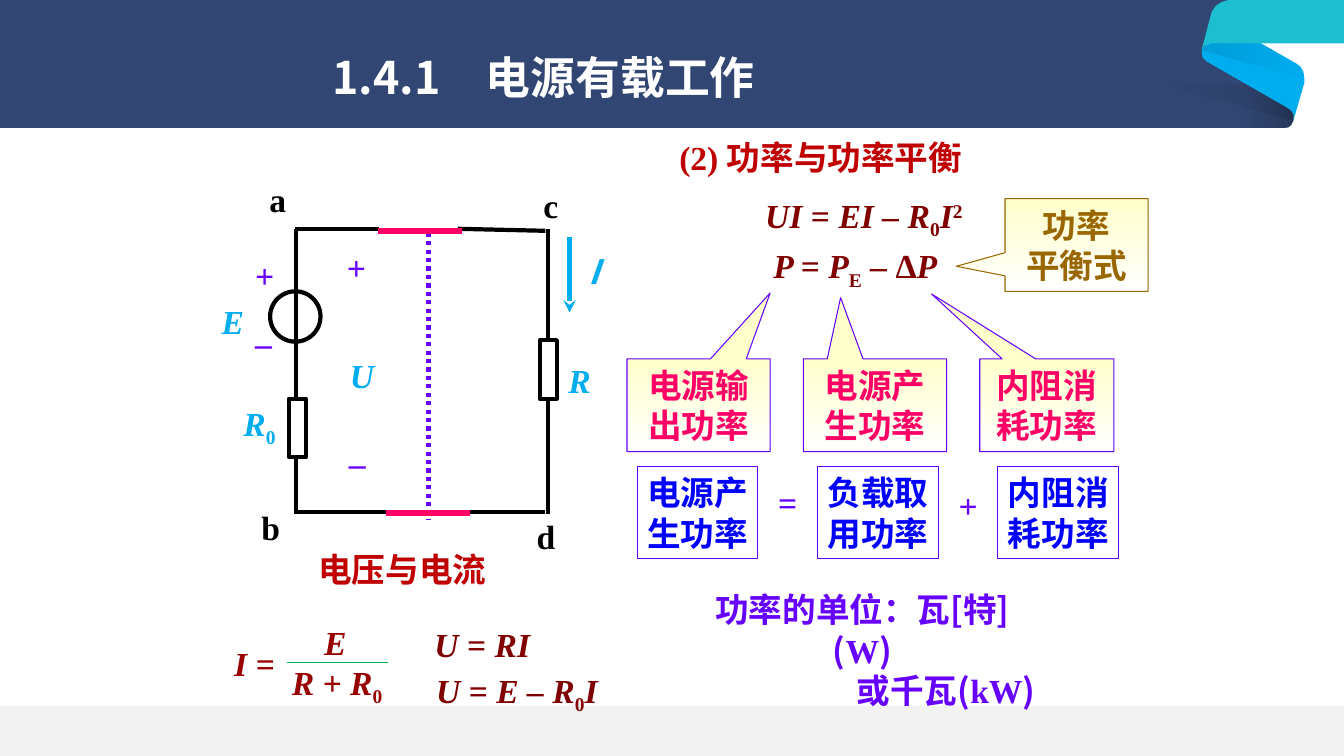
import pptx
import pptx.dml.color
import pptx.enum.dml
import pptx.enum.shapes
import pptx.enum.text
import pptx.oxml
import pptx.oxml.ns
import pptx.util

CELL = pptx.util.Inches(0.1)  # side of one grid cell; places are given in columns and rows
COLUMNS, ROWS = 133.33, 75
SERIF, SANS = "Times New Roman", "Noto Sans CJK SC"
SHAPES = pptx.enum.shapes.MSO_SHAPE
ALIGN = pptx.enum.text.PP_ALIGN
ANCHOR = pptx.enum.text.MSO_ANCHOR
AUTO_SIZE = pptx.enum.text.MSO_AUTO_SIZE

COLORS = {
    "navy": "314672", "sky": "00ADEF", "teal": "1DBED0", "footer": "F2F2F2",
    "black": "000000", "white": "FFFFFF", "cream": "FFFFCC", "red": "C00000",
    "maroon": "800000", "wine": "990000", "pink": "FF0066", "violet": "6600FF",
    "blue": "0000FF", "brown": "996600", "green": "00B050",
}
BASE_FONT = {"name": SERIF, "size": pptx.util.Pt(24), "bold": True, "italic": False}
MARKS = {
    "": {}, "i": {"italic": True}, "sans": {"name": SANS}, "sub": {}, "sup": {},
    "sans i": {"name": SANS, "italic": True},
    "title": {"name": SANS, "size": pptx.util.Pt(32)},
}
BASELINES = {"sub": "-25000", "sup": "30000"}


def cells(*values):
    return [pptx.util.Emu(round(value * CELL)) for value in values]


def color(name):
    return pptx.dml.color.RGBColor.from_string(COLORS[name])


def apply(target, values):
    for attribute, value in values.items():
        setattr(target, attribute, value)


def add_run(paragraph, text, mark, color_name):
    run = paragraph.add_run()
    run.text = text
    apply(run.font, BASE_FONT | MARKS[mark])
    run.font.color.rgb = color(color_name)
    properties = run.font._element
    pptx.oxml.xmlchemy.OxmlElement
    east_asian = pptx.oxml.parse_xml(f'<a:ea {pptx.oxml.ns.nsdecls("a")} typeface="{SANS}"/>')
    properties.append(east_asian)
    if mark in BASELINES:
        properties.set("baseline", BASELINES[mark])


def write(shape, lines, color_name, **frame_format):
    """Each line is a list of (text, mark) runs."""
    frame = shape.text_frame
    apply(frame, {"word_wrap": False, "vertical_anchor": ANCHOR.MIDDLE} | frame_format)
    for index, runs in enumerate(lines):
        paragraph = frame.paragraphs[0] if index == 0 else frame.add_paragraph()
        paragraph.alignment = ALIGN.CENTER
        for text, mark in runs:
            add_run(paragraph, text, mark, color_name)
    return frame.paragraphs


def add_label(slide, runs, color_name, left, top, width, height=5, **frame_format):
    box = slide.shapes.add_textbox(*cells(left, top, width, height))
    return write(box, [runs], color_name, auto_size=AUTO_SIZE.SHAPE_TO_FIT_TEXT, **frame_format)


def add_heading(slide, text, color_name, left, top, width, height=5, mark="", wrap=True):
    paragraphs = add_label(slide, [(text, mark)], color_name, left, top, width, height,
                           word_wrap=wrap, vertical_anchor=ANCHOR.TOP)
    paragraphs[0].alignment = ALIGN.LEFT


def fill_gradient(shape, names, angle, opacities=()):
    shape.fill.gradient()
    shape.fill.gradient_angle = angle
    for stop, name in zip(shape.fill.gradient_stops, names):
        stop.color.rgb = color(name)
    stop_colors = shape._element.spPr.iter(pptx.oxml.ns.qn("a:srgbClr"))
    for stop_color, opacity in zip(list(stop_colors), opacities):
        stop_color.append(pptx.oxml.parse_xml(
            f'<a:alpha {pptx.oxml.ns.nsdecls("a")} val="{opacity * 1000}"/>'))


def paint(shape, fill=None, line=None, weight=0.75):
    shape.shadow.inherit = False
    if fill:
        shape.fill.solid()
        shape.fill.fore_color.rgb = color(fill)
    else:
        shape.fill.background()
    if line:
        shape.line.color.rgb = color(line)
        shape.line.width = pptx.util.Pt(weight)
    else:
        shape.line.fill.background()


def add_box(slide, kind, place, **look):
    shape = slide.shapes.add_shape(kind, *cells(*place))
    paint(shape, **look)
    return shape


def add_callout(slide, lines, left, top, width, pointer, line, text_color):
    place = left, top, width, 9.2
    callout = add_box(slide, SHAPES.RECTANGULAR_CALLOUT, place, line=line)
    callout.adjustments[0], callout.adjustments[1] = pointer
    fill_gradient(callout, ("cream", "white"), 270)
    write(callout, [[(text, "")] for text in lines], text_color)


def add_line(slide, start, end, color_name="black", weight=3, ending=""):
    """ending is XML for a dash or an arrowhead, without its namespace."""
    connector = slide.shapes.add_connector(
        pptx.enum.shapes.MSO_CONNECTOR.STRAIGHT, *cells(*start, *end))
    connector.line.color.rgb = color(color_name)
    connector.line.width = pptx.util.Pt(weight)
    namespace = pptx.oxml.ns.nsdecls("a")
    if ending:
        connector.line._get_or_add_ln().append(
            pptx.oxml.parse_xml(f"<a:{ending[0]} {namespace} {ending[1]}/>"))
    connector._element.spPr.append(pptx.oxml.parse_xml(f"<a:effectLst {namespace}/>"))


def add_outline(slide, points, fill=None):
    points = [cells(*point) for point in points]
    builder = slide.shapes.build_freeform(*points[0], scale=1.0)
    builder.add_line_segments(points[1:], close=True)
    shape = builder.convert_to_shape()
    paint(shape, fill)
    return shape


def draw_banner(slide):
    fold = [(127.9, 10.8), (128.2, 11.1), (128.35, 11.5), (128.3, 12)]
    tip = [(128.1, 12.4), (127.8, 12.65), (127.4, 12.7)]
    bend = [(129.4, 7.8), (129.3, 7.1), (129, 6.6), (128.6, 6.3)]
    add_outline(slide, [(0, 0), (124.3, 0), (124.3, 7.2), *fold, *tip, (0, 12.7)], "navy")
    add_outline(slide, [(119.7, 6.1), *fold, (129.4, 8.2), *bend, (124.4, 3.9), (120.2, 4.1),
                        (119.6, 4.4), (119.2, 5), (119.3, 5.7)], "sky")
    add_outline(slide, [(119.2, 5), (119.5, 4.5), (120.2, 4.3), (COLUMNS, 4.3), (COLUMNS, 0),
                        (121.9, 0), (121.2, 0.2), (120.6, 0.6), (120.2, 1.2)], "teal")
    shades = [
        ([(123.7, 8.4), (123.7, 12.7), *reversed(tip), *reversed(fold)], 20, 180),
        ([(115.2, 8.4), *reversed(fold), (123.7, 8.4)], 10, 180),
        ([(119.2, 5), *bend, (125, 4.3), (120.2, 4.3), (119.6, 4.5)], 10, 0),
    ]
    for points, opacity, angle in shades:
        fill_gradient(add_outline(slide, points), ("black", "black"), angle, (opacity, 0))
    add_box(slide, SHAPES.RECTANGLE, (0, 70, COLUMNS, ROWS - 70), fill="footer")
    add_heading(slide, "1.4.1　电源有载工作", "white", 32, 4.4, 45, 6.4, "title")


def draw_circuit(slide):
    left, right, top, bottom = 29.4, 54.4, 22.7, 50.8
    wires = [
        ((left, top), (left, 51)), ((right, top), (right, 51)),
        ((29.3, top), (37.6, top)), ((45.4, top), (54.1, 22.9)),
        ((29.3, bottom), (38.5, bottom)), ((46.2, bottom), (54.1, bottom)),
    ]
    for start, end in wires:
        add_line(slide, start, end)
    for column, row in ((53.55, 33.75), (28.65, 39.55)):
        add_box(slide, SHAPES.RECTANGLE, (column, row, 1.7, 5.8),
                fill="white", line="black", weight=3)
    add_box(slide, SHAPES.OVAL, (26.8, 28.9, 5, 5), line="black", weight=3)
    add_line(slide, (42.5, 23.1), (42.5, 51.5), "violet", 3, ("prstDash", 'val="sysDot"'))
    for column, row in ((37.5, 22.9), (38.3, 50.9)):
        add_line(slide, (column, row), (column + 8.3, row), "pink", 4.5)
    add_line(slide, (56.5, 23.5), (56.5, 31), "sky", 3, ("tailEnd", 'type="stealth"'))

    labels = {
        "sky": [("E", "i", 21, 29.4, 4.2), ("I", "sans i", 57.1, 24.4, 3.7),
                ("U", "i", 33.7, 34.7, 4.4), ("R", "i", 55.4, 35.2, 4.2)],
        "black": [("a", "", 25.7, 17.3, 3.7), ("b", "", 24.9, 49.8, 3.9),
                  ("c", "", 52.9, 17.8, 3.5), ("d", "", 52.2, 50.7, 3.9)],
        "violet": [("+", "", 33.4, 24, 3.9), ("_", "", 33.6, 42.3, 3.7),
                   ("+", "", 24.3, 24.8, 3.9), ("_", "", 24.3, 30.3, 3.7)],
    }
    for color_name, entries in labels.items():
        for text, mark, *place in entries:
            add_label(slide, [(text, mark)], color_name, *place)
    add_label(slide, [("R", "i"), ("0", "sub")], "sky", 23.1, 39.7, 5.3)


def draw_formulas(slide):
    add_heading(slide, "电压与电流", "red", 30.6, 54, 18.7, wrap=False)
    add_heading(slide, "(2) 功率与功率平衡", "red", 66.4, 13.1, 37.5)
    equals = ("= ", "")
    formulas = [
        ("maroon", [("U ", "i"), equals, ("RI", "i")], 42.1, 61.4, 11.5),
        ("maroon", [("U ", "i"), equals, ("E – R", "i"), ("0", "sub"), ("I ", "i")],
         42.2, 66.2, 19),
        ("maroon", [("UI ", "i"), equals, ("EI – R", "i"), ("0", "sub"), ("I", "i"),
                    ("2 ", "sup")], 74.6, 19.1, 22.7),
        ("maroon", [("P ", "i"), equals, ("P", "i"), ("E", "sub"), (" – ", "i"), ("Δ", ""),
                    ("P ", "i")], 73.1, 24.1, 24.2),
        ("wine", [("I =", "i")], 21.8, 63.3, 6.9),
        ("wine", [(" E", "i")], 30.3, 61.2, 5.1),
        ("wine", [("R + R", "i"), ("0", "sub")], 27.9, 65.4, 11.1),
    ]
    for color_name, runs, *place in formulas:
        add_label(slide, runs, color_name, *place)
    add_line(slide, (28.5, 65.7), (38.5, 65.7), "green", 0.75)


def draw_power_balance(slide):
    callouts = [
        (("电源输", "出功率"), 14.2, (0.5, -1.21)),
        (("电源产", "生功率"), 14.2, (-0.24, -1.16)),
        (("内阻消", "耗功率"), 13.3, (-0.86, -1.2)),
    ]
    for index, (lines, width, pointer) in enumerate(callouts):
        add_callout(slide, lines, 62.2 + 17.5 * index, 35.6, width, pointer, "violet", "pink")
    add_callout(slide, ("功率", "平衡式"), 99.7, 19.7, 14.2, (-0.84, 0.23), "brown", "brown")

    terms = [("电源产", "生功率"), ("负载取", "用功率"), ("内阻消", "耗功率")]
    step = 17.9
    for index, lines in enumerate(terms):
        box = add_box(slide, SHAPES.RECTANGLE, (63.2 + step * index, 46.3, 12, 9.1), line="violet")
        write(box, [[(text, "")] for text in lines], "blue")
    for index, (sign, row) in enumerate((("=", 47.3), ("+", 47.6))):
        add_label(slide, [(sign, "")], "violet", 76.2 + step * index, row, 3.9)

    units = slide.shapes.add_textbox(*cells(66.1, 59.9, 38.9, 9.1))
    lines = [
        [("功率的单位：瓦", ""), ("[特]", "sans")],
        [("(", "sans"), ("W", ""), (")", "sans")],
        [("或千瓦", ""), ("(", "sans"), ("kW", ""), (")", "sans")],
    ]
    paragraphs = write(units, lines, "violet", word_wrap=True)
    paragraphs[2]._p.get_or_add_pPr().set("marL", str(cells(16.6)[0]))


def main():
    presentation = pptx.Presentation()
    presentation.slide_width, presentation.slide_height = cells(COLUMNS, ROWS)
    slide = presentation.slides.add_slide(presentation.slide_layouts[6])
    draw_banner(slide)
    draw_circuit(slide)
    draw_formulas(slide)
    draw_power_balance(slide)
    presentation.save("out.pptx")


if __name__ == "__main__":
    main()
